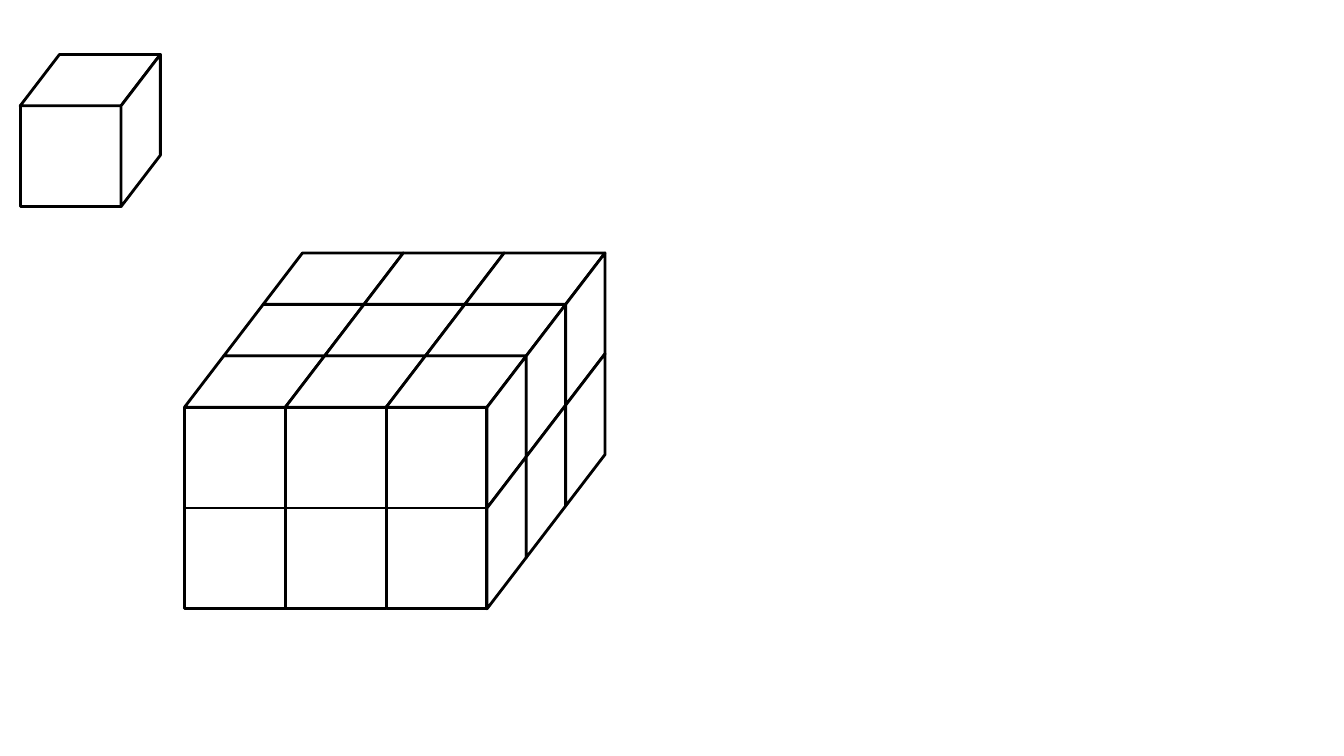
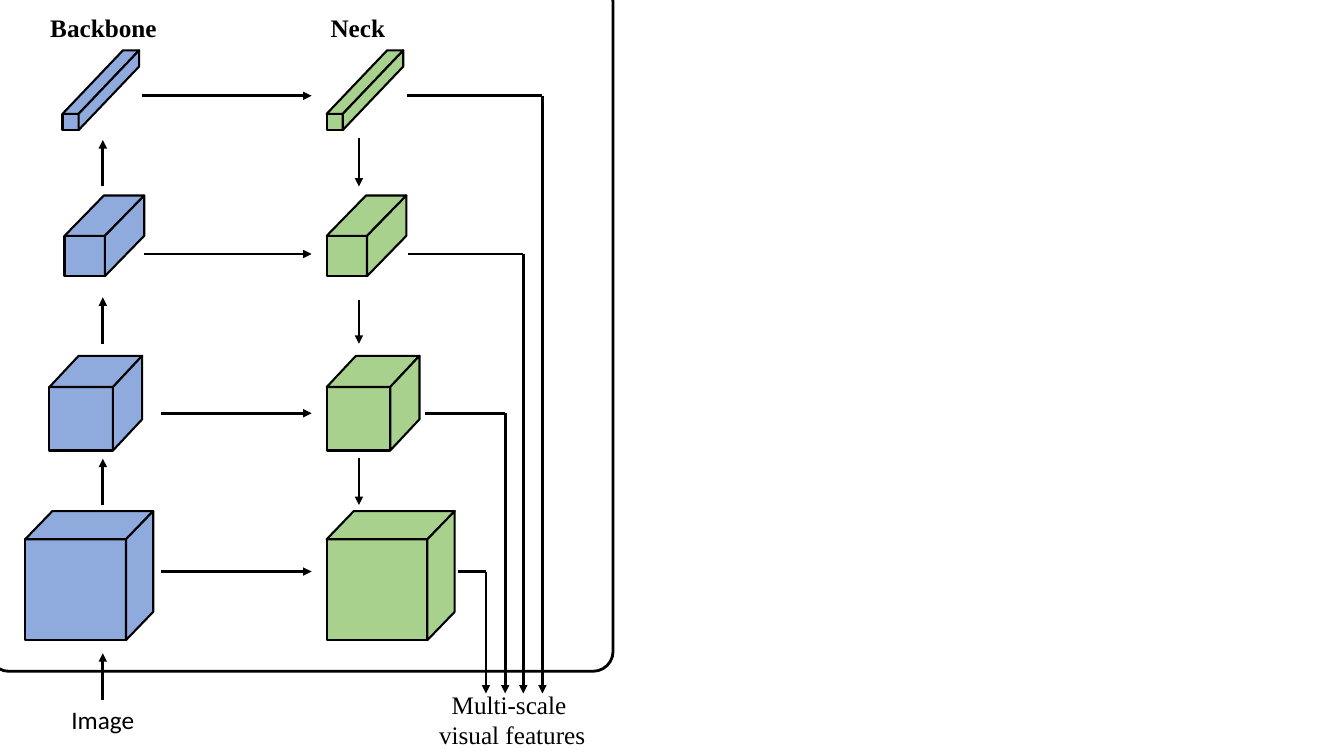
from lxml import etree
from pptx import Presentation
from pptx.dml.color import RGBColor
from pptx.enum import shapes as kinds, text as layout
from pptx.oxml import ns
from pptx.util import Inches, Pt

BLACK, WHITE, BLUE, GREEN = "000000", "FFFFFF", "8FAADC", "A9D18E"
SERIF, SANS = "Times New Roman", "Calibri"
SHAPE = kinds.MSO_SHAPE


def colour(hex_code):
    return RGBColor.from_string(hex_code)


# Shared drawing parts
def add_box(page, kind, box, fill=WHITE, weight=2, adjust=None):
    shape = page.shapes.add_shape(kind, *map(Inches, box))
    shape.shadow.inherit = False
    shape.fill.solid()
    shape.fill.fore_color.rgb = colour(fill)
    shape.line.color.rgb = colour(BLACK)
    shape.line.width = Pt(weight)
    if adjust is not None:
        shape.adjustments[0] = adjust
    return shape


def add_line(page, start, end, arrow=True):
    line = page.shapes.add_connector(
        kinds.MSO_CONNECTOR.STRAIGHT, *map(Inches, (*start, *end)))
    line.line.color.rgb = colour(BLACK)
    line.line.width = Pt(2)
    if arrow:
        etree.SubElement(line.line._get_or_add_ln(), ns.qn("a:tailEnd"), type="triangle")
    etree.SubElement(line._element.spPr, ns.qn("a:effectLst"))


def add_label(page, box, lines, font=SERIF, bold=False, align=layout.PP_ALIGN.LEFT):
    frame = page.shapes.add_textbox(*map(Inches, box)).text_frame
    frame.word_wrap = False
    frame.auto_size = layout.MSO_AUTO_SIZE.SHAPE_TO_FIT_TEXT
    for index, line in enumerate(lines):
        para = frame.add_paragraph() if index else frame.paragraphs[0]
        para.text = line
        para.alignment = align
        para.font.name = font
        para.font.size = Pt(18)
        para.font.bold = bold
        para.font.color.rgb = colour(BLACK)


def add_block(page, left, top, edge, run, rise, counts=(1, 1, 1), fill=WHITE, weight=2):
    """Stack cubes; left, top is the front corner, run and rise the depth of one cube."""
    columns, rows, layers = counts
    # Front faces
    for column in range(columns):
        for row in range(rows):
            add_box(page, SHAPE.RECTANGLE,
                    (left + column * edge, top + row * edge, edge, edge), fill, weight)
    for layer in range(layers):
        x, y = left + layer * run, top - (layer + 1) * rise
        # Top faces
        for column in range(columns):
            add_box(page, SHAPE.PARALLELOGRAM,
                    (x + column * edge, y, edge + run, rise), fill, weight, run / rise)
        # Side faces: turned a quarter about the centre and mirrored
        height = edge + rise
        for row in range(rows):
            centre_x = x + columns * edge + run / 2
            centre_y = y + row * edge + height / 2
            side = add_box(page, SHAPE.PARALLELOGRAM,
                           (centre_x - height / 2, centre_y - run / 2, height, run),
                           fill, weight, rise / run)
            side.rotation = 270
            side._element.spPr.xfrm.set("flipH", "1")


# Slide 1: a single cube and a stack of cubes
def build_cubes(page):
    add_block(page, 0.2, 1.05, 1, 0.39, 0.51)
    add_block(page, 1.83, 4.04, 1, 0.39, 0.51, (3, 2, 3))


# Slide 2: feature pyramid
NECK_LEFT = 3.24
# backbone left, front top, edge, run, rise, arrow y, arrow start, outlet start, outlet x
STAGES = [
    (0.62, 1.13, 0.16, 0.6, 0.63, 0.95, 1.41, 4.04, 5.38),
    (0.64, 2.34, 0.4, 0.39, 0.4, 2.52, 1.43, 4.05, 5.19),
    (0.49, 3.84, 0.63, 0.29, 0.31, 4.1, 1.6, 4.22, 5.01),
    (0.25, 5.35, 1, 0.27, 0.28, 5.67, 1.6, 4.54, 4.82),
]


def build_stage(page, left, top, edge, run, rise, level, start, outlet, drop):
    for x, fill in ((left, BLUE), (NECK_LEFT, GREEN)):
        add_block(page, x, top, edge, run, rise, fill=fill, weight=1.5)
    add_line(page, (start, level), (3.09, level))
    add_line(page, (outlet, level), (drop, level), arrow=False)
    add_line(page, (drop, level), (drop, 6.88))


def build_pyramid(page):
    add_box(page, SHAPE.ROUNDED_RECTANGLE, (-0.11, -0.18, 6.19, 6.84), adjust=0.032)
    for stage in STAGES:
        build_stage(page, *stage)
    # Upward path through the backbone, downward path through the neck
    for bottom in (6.94, 5.01, 3.41, 1.85):
        add_line(page, (1.02, bottom), (1.02, bottom - 0.46))
    for top, bottom in ((1.37, 1.85), (2.98, 3.41), (4.54, 5.01)):
        add_line(page, (3.56, top), (3.56, bottom))
    # Labels
    add_label(page, (0.4, 0.07, 1.27, 0.4), ["Backbone"], bold=True)
    add_label(page, (3.18, 0.07, 0.75, 0.4), ["Neck"], bold=True)
    add_label(page, (0.61, 6.94, 0.83, 0.4), ["Image"], SANS)
    add_label(page, (4.24, 6.79, 1.68, 0.71), ["Multi-scale ", "visual features"],
              align=layout.PP_ALIGN.CENTER)


def main():
    deck = Presentation()
    deck.slide_width, deck.slide_height = Inches(13.33), Inches(7.5)
    for build in (build_cubes, build_pyramid):
        build(deck.slides.add_slide(deck.slide_layouts[6]))
    deck.save("out.pptx")


if __name__ == "__main__":
    main()
